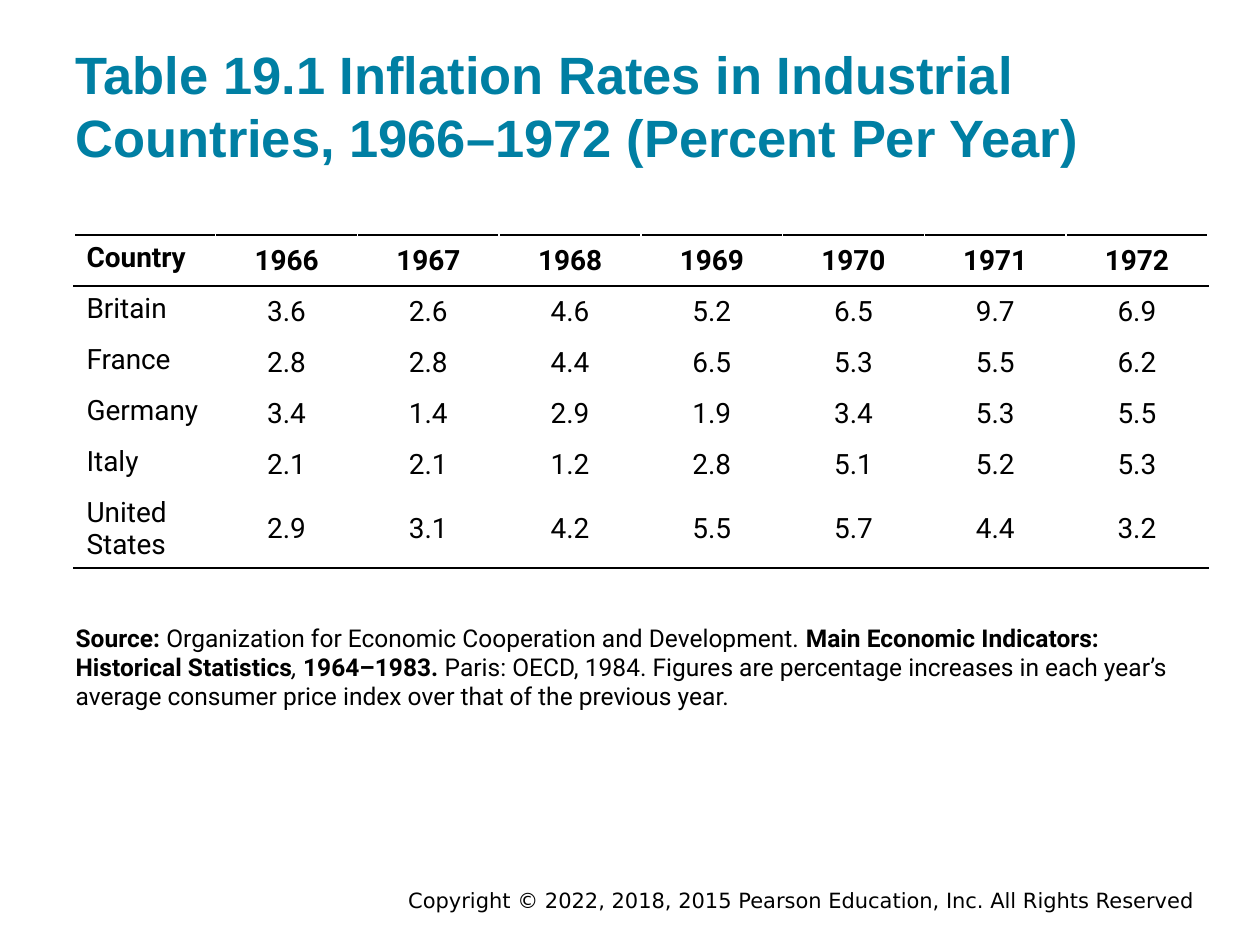
"""Build a slide with a table of inflation rates, a source note and a copyright line."""
from lxml import etree
from pptx import Presentation
from pptx.dml.color import RGBColor
from pptx.enum import text
from pptx.oxml import ns
from pptx.util import Emu, Pt

PX = 914400 / 126


def box(*lengths):
    return [Emu(round(n * PX)) for n in lengths]


def style(font, name, size, color, bold=False):
    font.name, font.size, font.bold = name, Pt(size), bold
    font.color.rgb = RGBColor.from_string(color)


prs = Presentation()
prs.slide_width, prs.slide_height = box(1260, 945)
s = prs.slides.add_slide(prs.slide_layouts[1])
title, note = s.placeholders

for sp, top, height, anchor in (
    (title, 30, 151, text.MSO_ANCHOR.BOTTOM),
    (note, 610, 116, text.MSO_ANCHOR.TOP),
):
    sp.left, sp.top, sp.width, sp.height = box(63, top, 1134, height)
    tf = sp.text_frame
    tf.auto_size, tf.word_wrap = text.MSO_AUTO_SIZE.NONE, True
    tf.vertical_anchor = anchor
    tf.margin_left = tf.margin_right = tf.margin_top = tf.margin_bottom = Pt(7.2)

title.text_frame.text = "Table 19.1 Inflation Rates in Industrial Countries, 1966–1972 (Percent Per Year)"
p = title.text_frame.paragraphs[0]
p.alignment = text.PP_ALIGN.LEFT
style(p.runs[0].font, "Arial", 30, "007FA3", True)

rates = [
    ["Country", "1966", "1967", "1968", "1969", "1970", "1971", "1972"],
    ["Britain", "3.6", "2.6", "4.6", "5.2", "6.5", "9.7", "6.9"],
    ["France", "2.8", "2.8", "4.4", "6.5", "5.3", "5.5", "6.2"],
    ["Germany", "3.4", "1.4", "2.9", "1.9", "3.4", "5.3", "5.5"],
    ["Italy", "2.1", "2.1", "1.2", "2.8", "5.1", "5.2", "5.3"],
    ["United States", "2.9", "3.1", "4.2", "5.5", "5.7", "4.4", "3.2"],
]
borders = {0: ("lnT", "lnB"), 1: ("lnT",), len(rates) - 1: ("lnB",)}
table = s.shapes.add_table(len(rates), len(rates[0]), *box(74, 235, 1134, 306)).table
table.first_row = table.horz_banding = False
table.rows[len(rates) - 1].height = box(78)[0]
for i, row in enumerate(rates):
    for j, value in enumerate(row):
        cell = table.cell(i, j)
        cell.text = value
        p = cell.text_frame.paragraphs[0]
        style(p.runs[0].font, "Roboto", 16, "000000", i == 0)
        if j > 0:
            p.alignment = text.PP_ALIGN.CENTER
            cell.vertical_anchor = text.MSO_ANCHOR.MIDDLE
        tcPr = cell._tc.get_or_add_tcPr()
        for side in borders.get(i, ()):
            ln = etree.SubElement(tcPr, ns.qn(f"a:{side}"), w=str(Pt(1)))
            fill = etree.SubElement(ln, ns.qn("a:solidFill"))
            etree.SubElement(fill, ns.qn("a:srgbClr"), val="000000")
        cell.fill.background()

p = note.text_frame.paragraphs[0]
pPr = p._p.get_or_add_pPr()
pPr.set("marL", "0")
pPr.set("indent", "0")
etree.SubElement(pPr, ns.qn("a:buNone"))
p.space_before = Pt(0)
for words, bold, italic in (
    ("Source: ", True, False),
    ("Organization for Economic Cooperation and Development. ", False, False),
    ("Main Economic Indicators: Historical Statistics", True, False),
    (", ", False, True),
    ("1964–1983.", True, False),
    (" Paris: OECD, 1984. Figures are percentage increases in each year’s "
     "average consumer price index over that of the previous year.", False, False),
):
    r = p.add_run()
    r.text = words
    style(r.font, "Roboto", 14, "000000", bold)
    r.font.italic = italic

tf = s.shapes.add_textbox(*box(220, 886, 987, 28)).text_frame
tf.word_wrap = True
tf.vertical_anchor = text.MSO_ANCHOR.MIDDLE
tf.text = "Copyright © 2022, 2018, 2015 Pearson Education, Inc. All Rights Reserved"
p = tf.paragraphs[0]
p.alignment = text.PP_ALIGN.RIGHT
style(p.runs[0].font, "DejaVu Sans", 12, "000000")

prs.save("out.pptx")
